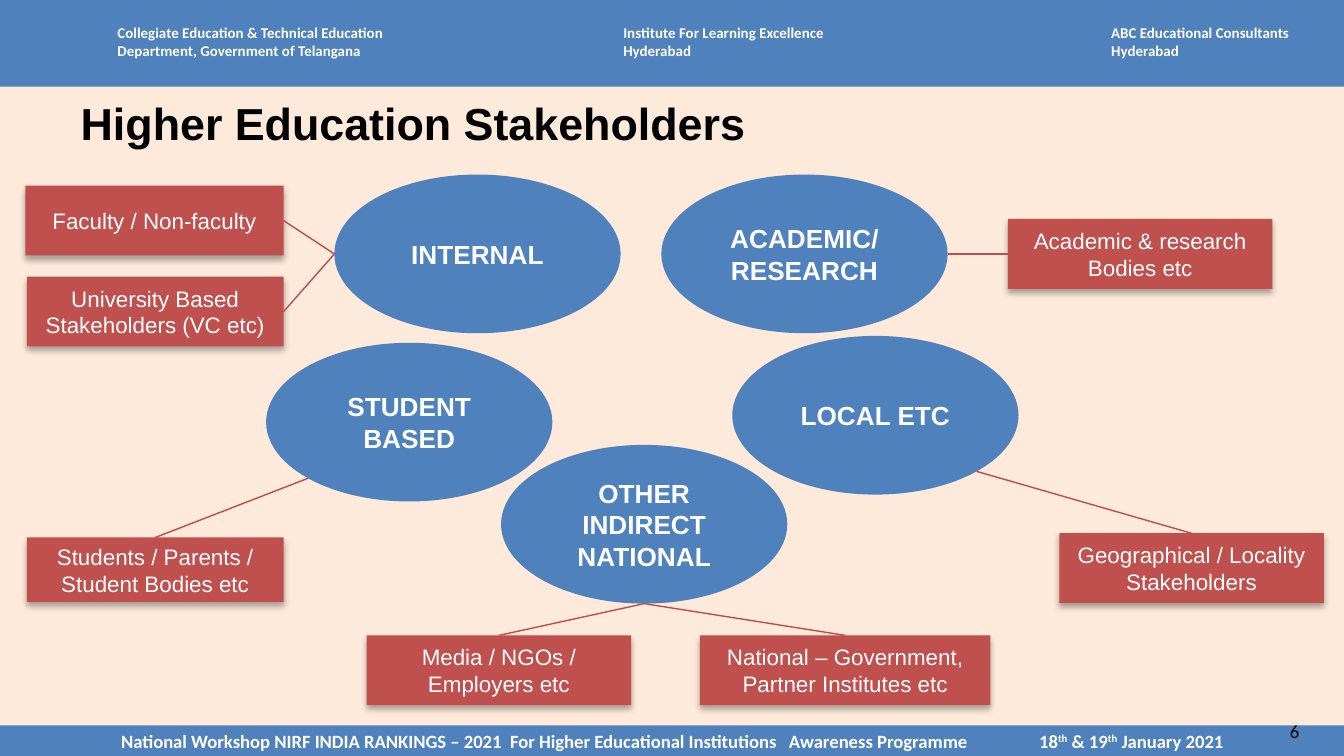
"""Build the slide of higher education stakeholder groups."""
import math

from lxml import etree
from pptx import Presentation, util as u
from pptx.dml import color
from pptx.enum import shapes, text
from pptx.oxml import ns

COLORS = {"background": "FDEADA", "blue": "4F81BD", "red": "C0504D",
          "line": "BF4C48", "white": "FFFFFF", "black": "000000"}
GROUP_SIZE = (5.41, 3)
BOX_HEIGHT = 1.32
TOP, LEFT, RIGHT = 0, 1, 3

HEADERS = [
    ("Collegiate Education & Technical Education\nDepartment, Government of Telangana", 1.97, 5.74),
    ("Institute For Learning Excellence\nHyderabad", 11.53, 4.47),
    ("ABC Educational Consultants\nHyderabad", 20.75, 4.24),
]
GROUPS = {
    "internal": ("INTERNAL", 6.32, 3.3),
    "student": ("STUDENT BASED", 5.03, 6.48),
    "academic": ("ACADEMIC/\nRESEARCH", 12.5, 3.3),
    "other": ("OTHER INDIRECT NATIONAL", 9.47, 8.41),
    "local": ("LOCAL ETC", 13.84, 6.35),
}
STAKEHOLDERS = [
    ("Academic & research Bodies etc", 19.05, 4.14, 5, BOX_HEIGHT, "academic", 0, LEFT),
    ("Geographical / Locality Stakeholders", 20.02, 10.08, 5, BOX_HEIGHT, "local", 45, TOP),
    ("National – Government, Partner Institutes etc", 13.23, 12.01, 5.49, BOX_HEIGHT, "other", 90, TOP),
    ("Media / NGOs / Employers etc", 6.93, 12.01, 5, BOX_HEIGHT, "other", 90, TOP),
    ("Students / Parents / Student Bodies etc", 0.51, 10.16, 4.85, 1.22, "student", 135, TOP),
    ("University Based Stakeholders (VC etc)", 0.51, 5.23, 4.85, BOX_HEIGHT, "internal", 180, RIGHT),
    ("Faculty / Non-faculty", 0.48, 3.51, 4.88, BOX_HEIGHT, "internal", 180, RIGHT),
]
FOOTER_RUNS = [
    ("National Workshop NIRF INDIA RANKINGS – 2021\tFor Higher Educational Institutions"
     "\tAwareness Programme\t18", False),
    ("th", True), (" & 19", False), ("th", True), (" January 2021", False),
]
FOOTER_TABS = (7.35, 12.62, 17.35)


class StakeholderSlide:
    """Holds the style and the current slide, and draws each kind of element."""

    def __init__(self, presentation):
        self.slide = presentation.slides.add_slide(presentation.slide_layouts[5])
        fill = self.slide.background.fill
        fill.solid()
        fill.fore_color.rgb = self.rgb("background")

    def rgb(self, name):
        return color.RGBColor.from_string(COLORS[name])

    def format_text(self, frame, size, font, color_name, bold=False, align=text.PP_ALIGN.LEFT):
        frame.word_wrap = True
        for paragraph in frame.paragraphs:
            paragraph.alignment = align
            for run in paragraph.runs:
                run.font.size = u.Pt(size)
                run.font.name = font
                run.font.bold = bold
                run.font.color.rgb = self.rgb(color_name)

    def title(self, words, left, top, width, height):
        shape = self.slide.shapes.title
        shape.left, shape.top, shape.width, shape.height = map(u.Cm, (left, top, width, height))
        shape.text_frame.text = words
        shape.text_frame.vertical_anchor = text.MSO_ANCHOR.MIDDLE
        self.format_text(shape.text_frame, 24, "Arial", "black", True)

    def label(self, words, left, top, width, height, size, color_name, bold):
        shape = self.slide.shapes.add_textbox(*map(u.Cm, (left, top, width, height)))
        shape.text_frame.text = words
        self.format_text(shape.text_frame, size, "Calibri", color_name, bold)

    def block(self, kind, fill_name, left, top, width, height):
        shape = self.slide.shapes.add_shape(kind, *map(u.Cm, (left, top, width, height)))
        shape.shadow.inherit = False
        shape.fill.solid()
        shape.fill.fore_color.rgb = self.rgb(fill_name)
        shape.line.fill.background()
        shape.text_frame.vertical_anchor = text.MSO_ANCHOR.MIDDLE
        return shape

    def bar(self, top, height):
        return self.block(shapes.MSO_SHAPE.RECTANGLE, "blue", 0, top, 25.4, height)

    def footer(self, top, height):
        frame = self.bar(top, height).text_frame
        frame.margin_left = u.Cm(2.29)
        frame.margin_right = frame.margin_top = frame.margin_bottom = 0
        paragraph = frame.paragraphs[0]
        for words, raised in FOOTER_RUNS:
            run = paragraph.add_run()
            run.text = words
            if raised:
                run._r.get_or_add_rPr().set("baseline", "30000")
        self.format_text(frame, 10, "Calibri", "white", True)
        tabs = etree.SubElement(paragraph._p.get_or_add_pPr(), ns.qn("a:tabLst"))
        for position in FOOTER_TABS:
            etree.SubElement(tabs, ns.qn("a:tab"), pos=str(u.Cm(position)), algn="l")

    def group(self, words, left, top):
        shape = self.block(shapes.MSO_SHAPE.OVAL, "blue", left, top, *GROUP_SIZE)
        shape.text_frame.text = words
        self.format_text(shape.text_frame, 14, "Arial", "white", True, text.PP_ALIGN.CENTER)
        return shape

    def stakeholder(self, words, left, top, width, height):
        shape = self.block(shapes.MSO_SHAPE.RECTANGLE, "red", left, top, width, height)
        shape.text_frame.text = words
        self.format_text(shape.text_frame, 12, "Arial", "white", align=text.PP_ALIGN.CENTER)
        effects = shape._element.spPr.find(ns.qn("a:effectLst"))
        shadow = etree.SubElement(effects, ns.qn("a:outerShdw"), blurRad=str(u.Pt(3.5)),
                                  dist=str(u.Pt(2.2)), dir="5400000", rotWithShape="0")
        shade = etree.SubElement(shadow, ns.qn("a:srgbClr"), val=COLORS["black"])
        etree.SubElement(shade, ns.qn("a:alpha"), val="32000")
        return shape

    def link(self, group, angle, box, side):
        radians = math.radians(angle)
        x = round(group.left + group.width / 2 * (1 + math.cos(radians)))
        y = round(group.top + group.height / 2 * (1 + math.sin(radians)))
        connector = self.slide.shapes.add_connector(shapes.MSO_CONNECTOR.STRAIGHT, x, y, x, y)
        connector.end_connect(box, side)
        connector.line.color.rgb = self.rgb("line")
        connector.line.width = u.Pt(0.75)
        etree.SubElement(connector._element.spPr, ns.qn("a:effectLst"))


def main():
    presentation = Presentation()
    presentation.slide_width, presentation.slide_height = u.Cm(25.4), u.Cm(14.29)
    page = StakeholderSlide(presentation)
    page.bar(0, 1.64)
    for words, left, width in HEADERS:
        page.label(words, left, 0.33, width, 0.94, 8, "white", True)
    page.footer(13.71, 0.58)
    page.label("6", 24.13, 13.49, 1.27, 0.69, 10, "black", False)
    page.title("Higher Education Stakeholders", 1.27, 1.65, 22.86, 1.32)
    groups = {name: page.group(*values) for name, values in GROUPS.items()}
    boxes = [page.stakeholder(*values[:5]) for values in STAKEHOLDERS]
    for box, (*_, name, angle, side) in zip(boxes, STAKEHOLDERS):
        page.link(groups[name], angle, box, side)
    presentation.save("out.pptx")


if __name__ == "__main__":
    main()
